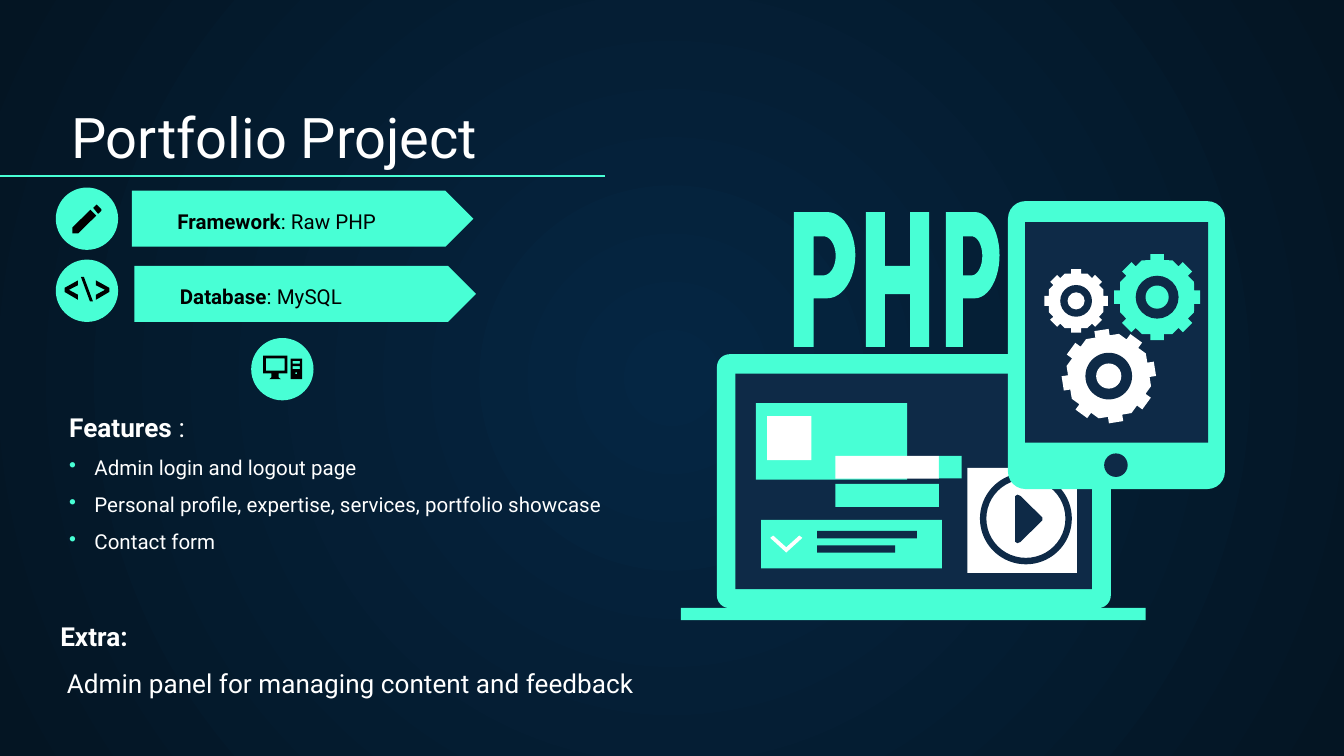
from dataclasses import dataclass
from math import cos, pi, sin

from lxml.etree import SubElement
from pptx import Presentation
from pptx.dml.color import RGBColor as RGB
from pptx.enum.shapes import MSO_CONNECTOR as Link, MSO_SHAPE as Kind
from pptx.enum.text import MSO_ANCHOR as Anchor
from pptx.oxml.ns import qn
from pptx.util import Pt


@dataclass(frozen=True)
class Theme:
    font: str = "Roboto"
    mint: RGB = RGB(0x48, 0xFF, 0xD5)
    navy: RGB = RGB(0x0E, 0x2A, 0x47)
    white: RGB = RGB(0xFF, 0xFF, 0xFF)
    black: RGB = RGB(0, 0, 0)
    glow: RGB = RGB(0x05, 0x26, 0x43)
    edge: RGB = RGB(0x04, 0x15, 0x23)
    title: int = 30
    head: int = 14
    body: int = 11


class Pen:
    def __init__(self, slide, theme):
        self.slide, self.theme = slide, theme
        self.shapes = slide.shapes

    def back(self):
        """Fill the background with a glow from the centre."""
        fill = self.slide.background.fill
        fill.gradient()
        for stop, tint in zip(fill.gradient_stops, (self.theme.glow, self.theme.edge)):
            stop.color.rgb = tint
        grad = next(self.slide.element.iter(qn("a:gradFill")))
        grad.remove(grad.find(qn("a:lin")))
        path = SubElement(grad, qn("a:path"), path="circle")
        SubElement(path, qn("a:fillToRect"), l="50000", t="50000", r="50000", b="50000")

    def paint(self, shape, tint):
        shape.shadow.inherit = False
        shape.fill.solid()
        shape.fill.fore_color.rgb = tint
        shape.line.fill.background()
        return shape

    def shape(self, kind, x, y, w, h, tint, adj=None):
        item = self.shapes.add_shape(kind, Pt(x), Pt(y), Pt(w), Pt(h))
        if adj is not None:
            item.adjustments[0] = adj
        return self.paint(item, tint)

    def rect(self, *args):
        return self.shape(Kind.RECTANGLE, *args)

    def disc(self, x, y, r, tint):
        return self.shape(Kind.OVAL, x - r, y - r, 2 * r, 2 * r, tint)

    def free(self, tint, *loops):
        """Draw closed loops as one outline; inner loops are holes."""
        build = None
        for loop in loops:
            first, *rest = [(Pt(x), Pt(y)) for x, y in loop]
            if build is None:
                build = self.shapes.build_freeform(*first, scale=1.0)
            else:
                build.move_to(*first)
            build.add_line_segments(rest, close=True)
        return self.paint(build.convert_to_shape(), tint)

    def line(self, x1, y1, x2, y2, tint, width):
        item = self.shapes.add_connector(Link.STRAIGHT, Pt(x1), Pt(y1), Pt(x2), Pt(y2))
        item.line.color.rgb = tint
        item.line.width = Pt(width)
        SubElement(item._element.spPr, qn("a:effectLst"))

    def text(self, x, y, w, h, rows, tint, gap=1):
        """Each row is (size, bold text, plain text, indent, has bullet)."""
        frame = self.shapes.add_textbox(Pt(x), Pt(y), Pt(w), Pt(h)).text_frame
        frame.word_wrap = True
        frame.vertical_anchor = Anchor.BOTTOM
        frame.margin_left = frame.margin_right = Pt(7.2)
        frame.margin_top = frame.margin_bottom = Pt(7.2)
        for i, (size, bold, plain, left, mark) in enumerate(rows):
            para = frame.add_paragraph() if i else frame.paragraphs[0]
            props = para._p.get_or_add_pPr()
            props.set("marL", str(Pt(left)))
            if mark:
                props.set("indent", str(-Pt(left)))
                hue = SubElement(props, qn("a:buClr"))
                SubElement(hue, qn("a:srgbClr"), val=str(self.theme.mint))
                SubElement(props, qn("a:buChar"), char="•")
            para.line_spacing = gap
            for words, heavy in ((bold, True), (plain, False)):
                if words:
                    run = para.add_run()
                    run.text = words
                    run.font.name, run.font.size = self.theme.font, Pt(size)
                    run.font.bold, run.font.color.rgb = heavy, tint

    def gear(self, x, y, r, tint, turn=0):
        """Draw a gear with eight teeth, turned by some degrees."""
        half, root = 0.155 * r, 0.93 * r
        loop = []
        for k in range(8):
            a = k * pi / 4 + turn * pi / 180
            for out, side in ((0.86 * r, -half), (r, -half), (r, half), (0.86 * r, half)):
                loop.append((x + out * cos(a) - side * sin(a), y + out * sin(a) + side * cos(a)))
            loop.append((x + root * cos(a + pi / 8), y + root * sin(a + pi / 8)))
        self.free(tint, loop)
        self.disc(x, y, 0.5 * r, self.theme.navy)
        self.disc(x, y, 0.27 * r, tint)

    def glyph(self, x, y, w, h, *loops):
        """Draw a letter given in fractions of its box."""
        self.free(self.theme.mint, *[[(x + u * w, y + v * h) for u, v in loop] for loop in loops])


def box(x, y, w, h):
    return [(x, y), (x + w, y), (x + w, y + h), (x, y + h)]


def bow(x, y, rx, ry):
    """Points of the right half of an ellipse, from top to bottom."""
    return [(x + rx * sin(k * pi / 24), y - ry * cos(k * pi / 24)) for k in range(25)]


def facts(pen, t):
    """Title, tags and round icons."""
    pen.text(31, 50.4, 617, 47.5, [(t.title, "", "Portfolio Project", 0, False)], t.white)
    pen.line(0, 94.3, 324, 94.3, t.mint, 0.75)
    tags = ((70.6, 102.2, "Framework", ": Raw PHP"), (72, 142.5, "Database", ": MySQL"))
    for x, y, name, value in tags:
        pen.shape(Kind.PENTAGON, x, y, 183, 30, t.mint, 0.5)
        pen.text(x + 17.3, y + 14.4, 163.4, 15.1, [(t.body, name, value, 0, False)], t.black)
    for x, y in ((46.6, 117.2), (46.6, 155.8), (151.3, 197.8)):
        pen.disc(x, y, 16.7, t.mint)

    tip = [(50, 111.4), (51.8, 109.6), (54.4, 112.2), (54.4, 112.9), (52.6, 114.6)]
    pen.free(t.black, tip, [(48.5, 112.4), (51.6, 115.5), (42, 125), (38.8, 125), (38.8, 121.9)])

    angle = [(41.8, 150.2), (34.6, 154.2), (34.6, 156.4), (41.8, 160.6),
             (41.8, 157.9), (36.9, 155.3), (41.8, 152.8)]
    pen.free(t.black, angle)
    pen.free(t.black, [(93.2 - x, y) for x, y in angle])
    pen.free(t.black, [(43.4, 148.4), (45, 148.4), (49.8, 161.4), (48.2, 161.4)])

    stand = [(145.4, 200.1), (149.3, 200.1), (149.3, 202.2), (150.4, 203.2), (144.3, 203.2), (145.4, 202.2)]
    pen.free(t.black, box(140.9, 190.5, 13, 9.6), box(142.4, 192, 10, 6.6), stand)
    pen.free(t.black, box(155.7, 192.2, 6.1, 11), box(156.8, 193.4, 3.9, 1.5),
             box(156.8, 196.2, 3.9, 1.6), box(158.2, 199.5, 1, 1))


def notes(pen, t):
    """Feature list and extra remark."""
    points = ("Admin login and logout page",
              "Personal profile, expertise, services, portfolio showcase", "Contact form")
    rows = [(t.head, "Features ", ":", 0, False)]
    rows += [(t.body, "", words, 13.5, True) for words in points]
    pen.text(30, 207.4, 313.2, 96.5, rows, t.white, 1.5)
    rows = [(t.head, "Extra:", "", 0, False),
            (t.head, "", "Admin panel for managing content and feedback", 3.5, False)]
    pen.text(25.2, 315.4, 323.3, 66.2, rows, t.white, 1.5)


def screens(pen, t):
    """Laptop, tablet and lettering."""
    pen.shape(Kind.ROUNDED_RECTANGLE, 384.1, 189.8, 211, 136, t.mint, 0.05)
    panels = (
        (394, 200.2, 191, 115.4, t.navy), (364.8, 325.7, 249, 6.5, t.mint),
        (405, 216, 81, 41, t.mint), (411, 222.9, 23.7, 23.6, t.white),
        (407.8, 278.6, 96.8, 25.9, t.mint), (437.8, 284.4, 53.4, 4, t.navy),
        (437.8, 292.1, 41.8, 4, t.navy), (447.5, 259.3, 55.5, 12.3, t.mint),
        (447.5, 244.3, 55.5, 12.2, t.white), (503, 244.2, 12.2, 12.2, t.mint),
        (518.2, 250.7, 58.7, 56.3, t.white))
    for panel in panels:
        pen.rect(*panel)
    pen.free(t.white, [(412.6, 288.2), (414.2, 286.9), (421.2, 293.2), (428.2, 286.9),
                       (429.8, 288.2), (421.2, 296)])
    pen.shape(Kind.DONUT, 525, 253.3, 49.2, 49, t.navy, 0.07)
    pen.free(t.navy, [(543.8, 265.8), (545, 265), (546.6, 265.6), (558.4, 277.2),
                      (558.4, 278.8), (546.6, 290.4), (545, 291), (543.8, 290.2)])

    pen.shape(Kind.ROUNDED_RECTANGLE, 540, 107.8, 116.2, 154.2, t.mint, 0.08)
    pen.rect(549.2, 119, 98, 118.2, t.navy)
    pen.disc(597.8, 249.2, 6.3, t.navy)
    pen.gear(619.9, 159.2, 23, t.mint)
    pen.gear(576.5, 161.2, 17, t.white)
    pen.gear(594, 201.5, 25, t.white, -9)

    for x, w in ((425.3, 32.9), (506.7, 28.8)):
        outer = [(0, 0), *bow(0.54, 0.32, 0.46, 0.32), (0.32, 0.64), (0.32, 1), (0, 1)]
        inner = [(0.32, 0.18), *bow(0.48, 0.325, 0.2, 0.145), (0.32, 0.47)]
        pen.glyph(x, 113.6, w, 72.2, outer, inner)
    half = [(0, 0), (0.3, 0), (0.3, 0.4), (0.7, 0.4), (0.7, 0), (1, 0)]
    low = [(1, 1), (0.7, 1), (0.7, 0.61), (0.3, 0.61), (0.3, 1), (0, 1)]
    pen.glyph(463.8, 113.6, 34, 72.2, half + low)


def main():
    deck = Presentation()
    deck.slide_width, deck.slide_height = Pt(720), Pt(405)
    theme = Theme()
    pen = Pen(deck.slides.add_slide(deck.slide_layouts[6]), theme)
    pen.back()
    for part in (facts, notes, screens):
        part(pen, theme)
    deck.save("out.pptx")


if __name__ == "__main__":
    main()
